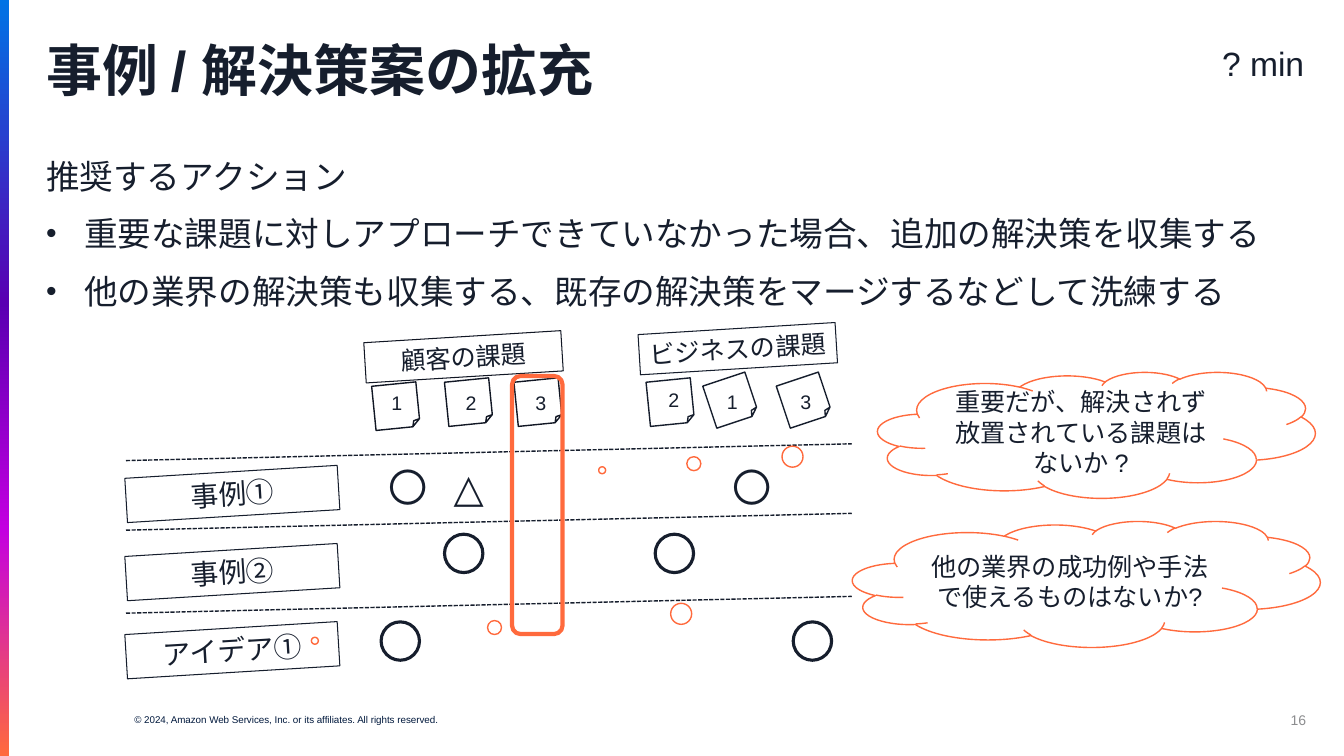
from lxml import etree
from pptx import Presentation
from pptx.dml.color import RGBColor
from pptx.enum.dml import MSO_LINE
from pptx.enum.shapes import MSO_CONNECTOR, MSO_SHAPE
from pptx.enum.text import MSO_ANCHOR, MSO_AUTO_SIZE, PP_ALIGN
from pptx.oxml.ns import qn
from pptx.util import Pt

LEFT, CENTER, RIGHT = PP_ALIGN.LEFT, PP_ALIGN.CENTER, PP_ALIGN.RIGHT
TOP, MIDDLE = MSO_ANCHOR.TOP, MSO_ANCHOR.MIDDLE
FIXED, GROW = MSO_AUTO_SIZE.NONE, MSO_AUTO_SIZE.SHAPE_TO_FIT_TEXT
RECT, OVAL, CLOUD = MSO_SHAPE.RECTANGLE, MSO_SHAPE.OVAL, MSO_SHAPE.CLOUD_CALLOUT
NOTE, ROUNDED = MSO_SHAPE.FOLDED_CORNER, MSO_SHAPE.ROUNDED_RECTANGLE
STRAIGHT, DASH = MSO_CONNECTOR.STRAIGHT, MSO_LINE.SQUARE_DOT

COLORS = {"ink": "161E2D", "note": "111724", "accent": "FF6A3D",
          "navy": "00193D", "gray": "8C8D8F"}
BAR_STOPS = [(0, "0073E5"), (40, "5900B2"), (70, "C300E0"), (100, "FF6A3D")]
INSETS = (0, 3.6, 0, 3.6)
TILT, NOTE_TILT, STEEP_TILT = -3.5, -5.7, -18.5


def apply(target, values):
    for name, value in values.items():
        setattr(target, name, value)


class SlideBuilder:
    """Holds the type style and the slide being filled."""

    def __init__(self, slide, font="Arial"):
        self.slide, self.font = slide, font

    def frame(self, shape, insets=INSETS, anchor=TOP, fit=GROW):
        left, top, right, bottom = map(Pt, insets)
        apply(shape.text_frame, {
            "word_wrap": True, "auto_size": fit, "vertical_anchor": anchor,
            "margin_left": left, "margin_top": top,
            "margin_right": right, "margin_bottom": bottom})

    def paragraph(self, paragraph, text, size, color="ink", align=CENTER,
                  bold=False, **spacing):
        paragraph.text = text
        apply(paragraph, {"alignment": align, **spacing})
        apply(paragraph.font, {"name": self.font, "size": Pt(size), "bold": bold})
        paragraph.font.color.rgb = RGBColor.from_string(COLORS[color])

    def place(self, shape, box):
        apply(shape, dict(zip(("left", "top", "width", "height"), map(Pt, box))))

    def title(self, text, box):
        title = self.slide.shapes.title
        self.place(title, box)
        self.frame(title, fit=FIXED)
        self.paragraph(title.text_frame.paragraphs[0], text, 40, align=LEFT,
                       bold=True, line_spacing=0.9)

    def body(self, heading, actions, box):
        body = self.slide.placeholders[1]
        self.place(body, box)
        self.frame(body)
        for i, text in enumerate([heading, *actions]):
            item = body.text_frame.add_paragraph() if i else body.text_frame.paragraphs[0]
            self.bullet(item, bool(i))
            self.paragraph(item, text, 24, align=LEFT,
                           space_before=Pt(0), space_after=Pt(12))

    def bullet(self, paragraph, shown):
        props = paragraph._p.get_or_add_pPr()
        indent = Pt(27) if shown else 0
        props.set("marL", str(indent))
        props.set("indent", str(-indent))
        if not shown:
            etree.SubElement(props, qn("a:buNone"))
            return
        color = etree.SubElement(props, qn("a:buClr"))
        etree.SubElement(color, qn("a:srgbClr"), val=COLORS["ink"])
        etree.SubElement(props, qn("a:buSzPct"), val="90000")
        etree.SubElement(props, qn("a:buFont"), typeface=self.font)
        etree.SubElement(props, qn("a:buChar"), char="•")

    def text(self, text, box, size, color="ink", align=CENTER, **frame):
        shape = self.slide.shapes.add_textbox(*map(Pt, box))
        self.frame(shape, **frame)
        self.paragraph(shape.text_frame.paragraphs[0], text, size, color, align)

    def outline(self, kind, box, color="ink", weight=1, tilt=0):
        shape = self.slide.shapes.add_shape(kind, *map(Pt, box))
        shape.shadow.inherit = False
        shape.rotation = tilt
        shape.fill.background()
        shape.line.color.rgb = RGBColor.from_string(COLORS[color])
        shape.line.width = Pt(weight)
        return shape

    def label(self, text, box, size, color="ink"):
        shape = self.outline(RECT, box, color, 0.75, TILT)
        self.frame(shape)
        self.paragraph(shape.text_frame.paragraphs[0], text, size)

    def thought(self, text, box, tail):
        cloud = self.outline(CLOUD, box, "accent")
        for i, value in enumerate(tail):
            cloud.adjustments[i] = value
        self.frame(cloud, (7.2, 3.6, 7.2, 3.6), MIDDLE, FIXED)
        self.paragraph(cloud.text_frame.paragraphs[0], text, 18)

    def dashed_line(self, x1, y1, x2, y2):
        line = self.slide.shapes.add_connector(STRAIGHT, *map(Pt, (x1, y1, x2, y2)))
        line.line.color.rgb = RGBColor.from_string(COLORS["ink"])
        apply(line.line, {"width": Pt(1), "dash_style": DASH})
        etree.SubElement(line._element.spPr, qn("a:effectLst"))

    def gradient_bar(self, box, stops):
        bar = self.outline(RECT, box)
        bar.line.fill.background()
        bar.fill.gradient()
        bar.fill.gradient_angle = 270
        stop_list = bar._element.spPr.find(".//" + qn("a:gsLst"))
        for old in list(stop_list):
            stop_list.remove(old)
        for percent, color in stops:
            stop = etree.SubElement(stop_list, qn("a:gs"), pos=str(percent * 1000))
            etree.SubElement(stop, qn("a:srgbClr"), val=color)


def main():
    deck = Presentation()
    apply(deck, {"slide_width": Pt(960), "slide_height": Pt(540)})
    page = SlideBuilder(deck.slides.add_slide(deck.slide_layouts[1]))

    # Page furniture
    page.text("© 2024, Amazon Web Services, Inc. or its affiliates. All rights reserved.",
              (96, 510, 384.5, 8.6), 7, "navy", LEFT, insets=(0, 0, 0, 0))
    page.gradient_bar((0, 0, 6.5, 540), BAR_STOPS)
    page.text("16", (717, 499.7, 216, 28.8), 10, "gray", RIGHT,
              insets=(0, 0, 0, 0), anchor=MIDDLE, fit=FIXED)

    # Title, time and recommended actions
    page.title("事例 / 解決策案の拡充", (33, 27.4, 778, 51))
    page.text("? min", (852.5, 27.4, 99.4, 36), 24)
    page.body("推奨するアクション",
              ["重要な課題に対しアプローチできていなかった場合、追加の解決策を収集する",
               "他の業界の解決策も収集する、既存の解決策をマージするなどして洗練する"],
              (33, 108, 899, 119))

    # Row labels and dividers
    for row, case in enumerate(["事例①", "事例②", "アイデア①"]):
        page.label(case, (90, 337 + 55.8 * row, 152, 31.7), 20)
    for y in (329, 378.7, 438):
        page.dashed_line(90, y, 608.4, y - 12)

    # Column headings
    page.label("顧客の課題", (260.6, 240.5, 141, 28.8), 18, "note")
    page.label("ビジネスの課題", (456.5, 234.7, 141, 28.8), 18)

    # Sticky notes: number, note position, number position, tilt, colour
    for number, x, y, text_x, text_y, tilt, color in [
            ("1", 267, 274.3, 268.6, 275.8, NOTE_TILT, "note"),
            ("2", 319, 271.4, 321.8, 275.8, NOTE_TILT, "note"),
            ("3", 368.6, 271.4, 371.5, 275.8, NOTE_TILT, "note"),
            ("2", 463, 271.4, 466.6, 273.6, NOTE_TILT, "ink"),
            ("1", 506.2, 270, 508.3, 275, STEEP_TILT, "ink"),
            ("3", 558.7, 270, 560.9, 275, STEEP_TILT, "ink")]:
        page.outline(NOTE, (x, y, 31.7, 31.7), color, tilt=tilt)
        page.text(number, (text_x, text_y, 29.5, 24.5), 14)

    # Ratings
    for mark, x in [("〇", 265.7), ("△", 308.9), ("〇", 511.2)]:
        page.text(mark, (x, 327.6, 51.8, 41), 28)
    for x, y in [(317.5, 381.6), (468, 381.6), (272.2, 444.2), (566.6, 444.2)]:
        page.outline(OVAL, (x, y, 27.4, 27.4), weight=2.25)

    # Uncovered issue and the questions about it
    page.outline(ROUNDED, (365.8, 268.6, 36, 184.3), "accent", 3)
    page.thought("重要だが、解決されず放置されている課題はないか ?",
                 (627, 265.7, 312.5, 90), (-1.13, 0.28))
    page.thought("他の業界の成功例や手法で使えるものはないか?",
                 (609, 372.2, 334, 90), (-1.65, 0.45))

    deck.save("out.pptx")


if __name__ == "__main__":
    main()
